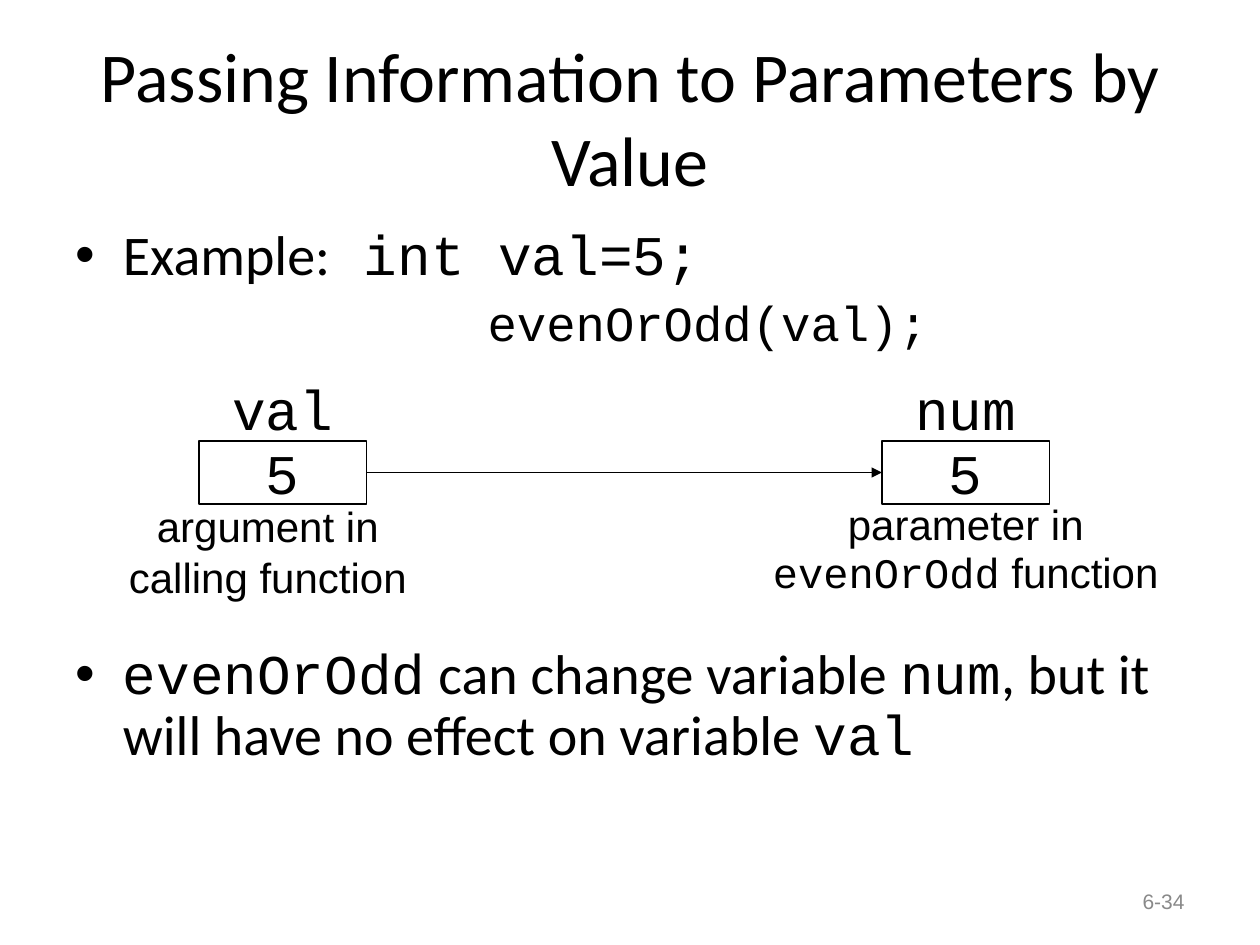
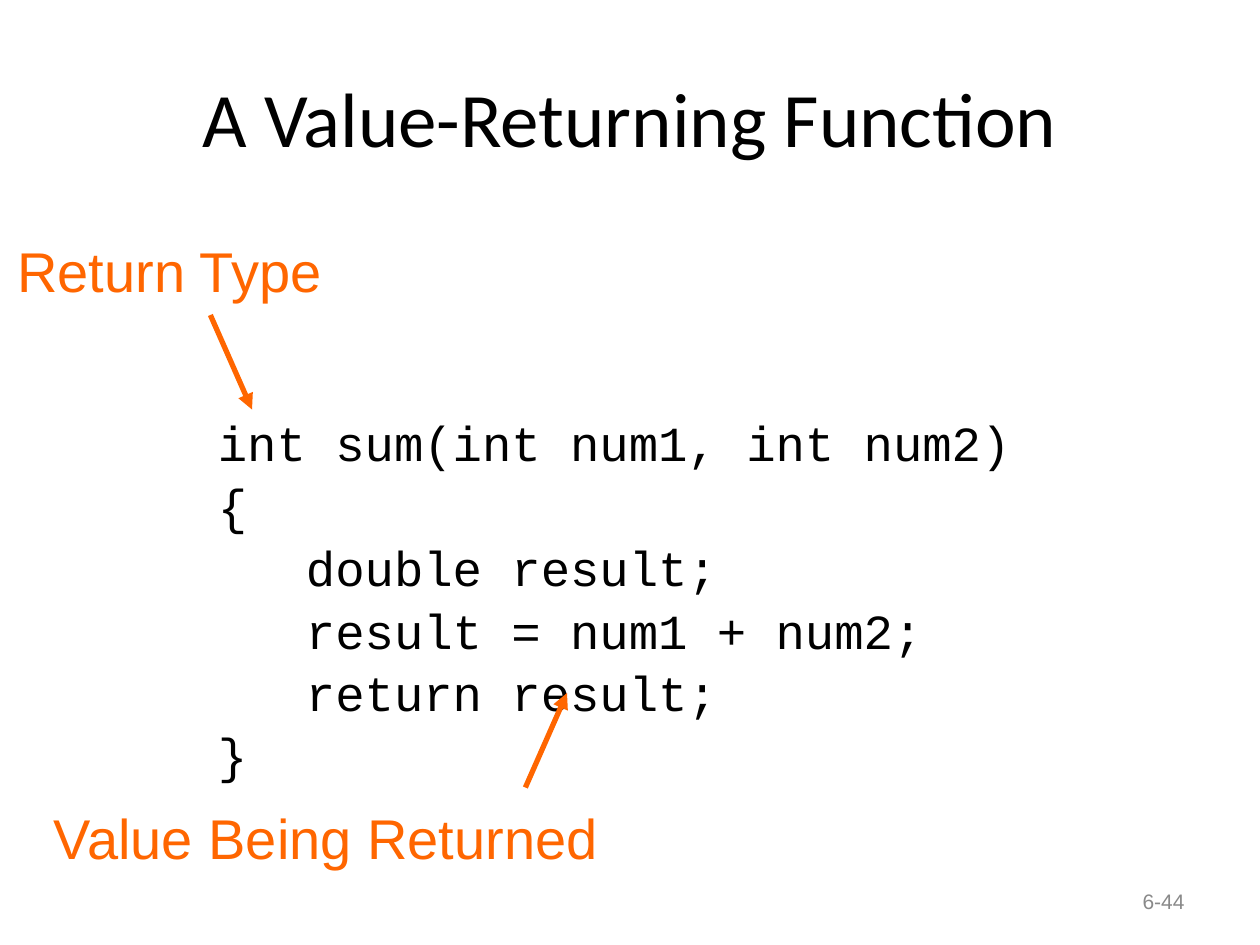
from lxml import etree
from pptx import Presentation
from pptx.dml.color import RGBColor
from pptx.enum.shapes import MSO_CONNECTOR, MSO_SHAPE
from pptx.enum.text import MSO_ANCHOR, MSO_AUTO_SIZE, PP_ALIGN
from pptx.oxml.ns import qn
from pptx.util import Inches, Pt

COLORS = {"text": "000000", "callout": "FF6600", "number": "898989"}
SANS, MONO, HEADING = "Arial", "Courier New", "Calibri"
TITLE_BOX = (0.5, 0.3, 9, 1.25)
BODY_BOX = (0.5, 1.75, 9, 4.95)
NUMBER_BOX = (7.17, 6.95, 2.33, 0.4)

PASSING = {
    "title": "Passing Information to Parameters by Value",
    "title_size": 40,
    "number": "6-34",
    "bullets": [
        {"runs": [("Example:", HEADING), (" int val=5;", MONO)], "size": 32, "before": 0},
        {"runs": [("evenOrOdd(val);", MONO)], "size": 28, "before": 7, "margin": 3.27},
        {"runs": [("evenOrOdd", MONO), (" can change variable ", HEADING), ("num", MONO),
                  (", but it will have no effect on variable ", HEADING), ("val", MONO)],
         "size": 32, "before": 168},
    ],
    "variables": [
        {"name": "val", "value": "5", "left": 1.58,
         "caption": [[("argument in", SANS)], [("calling function", SANS)]],
         "caption_box": (0.75, 4, 2.75, 0.83), "spacing": 0.8},
        {"name": "num", "value": "5", "left": 7,
         "caption": [[("parameter in", SANS)], [("evenOrOdd", MONO), (" function", SANS)]],
         "caption_box": (6, 4, 3.33, 0.79), "spacing": 0.75},
    ],
}
CELL_TOP, CELL_WIDTH, CELL_HEIGHT = 3.5, 1.33, 0.5
NAME_TOP, NAME_HEIGHT = 2.92, 0.64

RETURNING = {
    "title": "A Value-Returning Function",
    "title_size": 44,
    "number": "6-44",
    "code": [
        "int sum(int num1, int num2)",
        "{",
        "   double result;",
        "   result = num1 + num2;",
        "   return result;",
        "}",
    ],
    "callouts": [
        {"label": "Return Type", "box": (0.04, 1.83, 3.4, 0.64),
         "arrow": (1.67, 2.5, 2, 3.25)},
        {"label": "Value Being Returned", "box": (0.33, 6.33, 4.83, 0.64),
         "arrow": (4.17, 6.25, 4.5, 5.5)},
    ],
}
CODE_BOX = (1.25, 3.17, 7.17, 2.9)
CODE_INDENT = 0.38


def inches(values):
    return [Inches(value) for value in values]


def style(paragraph, size, font, color="text", align=PP_ALIGN.LEFT):
    paragraph.alignment = align
    for run in paragraph.runs:
        run.font.size = Pt(size)
        run.font.name = font
        run.font.color.rgb = RGBColor.from_string(COLORS[color])


def fill_runs(paragraph, runs, size, align=PP_ALIGN.LEFT):
    for words, font in runs:
        run = paragraph.add_run()
        run.text = words
    style(paragraph, size, SANS, align=align)
    for run, (words, font) in zip(paragraph.runs, runs):
        run.font.name = font


def next_paragraph(frame, index):
    return frame.add_paragraph() if index else frame.paragraphs[0]


def place(placeholder, box):
    placeholder.left, placeholder.top, placeholder.width, placeholder.height = inches(box)
    placeholder.text_frame.auto_size = MSO_AUTO_SIZE.NONE
    return placeholder.text_frame


def text_box(slide, box):
    frame = slide.shapes.add_textbox(*inches(box)).text_frame
    frame.word_wrap = True
    return frame


def label(slide, box, words, size, font, color="text", align=PP_ALIGN.LEFT):
    frame = text_box(slide, box)
    frame.text = words
    style(frame.paragraphs[0], size, font, color, align)
    return frame


def arrow(slide, ends, color, width):
    connector = slide.shapes.add_connector(MSO_CONNECTOR.STRAIGHT, *inches(ends))
    connector.line.color.rgb = RGBColor.from_string(COLORS[color])
    connector.line.width = Pt(width)
    etree.SubElement(connector.line._get_or_add_ln(), qn("a:tailEnd"), type="triangle")
    etree.SubElement(connector._element.spPr, qn("a:effectLst"))


def start_slide(deck, layout, content):
    slide = deck.slides.add_slide(deck.slide_layouts[layout])
    heading = place(slide.shapes.title, TITLE_BOX)
    heading.text = content["title"]
    heading.vertical_anchor = MSO_ANCHOR.MIDDLE
    style(heading.paragraphs[0], content["title_size"], HEADING, align=PP_ALIGN.CENTER)
    number = label(slide, NUMBER_BOX, content["number"], 12, SANS, "number", PP_ALIGN.RIGHT)
    number.vertical_anchor = MSO_ANCHOR.MIDDLE
    return slide


def draw_variable(slide, variable):
    left = variable["left"]
    label(slide, (left, NAME_TOP, CELL_WIDTH, NAME_HEIGHT), variable["name"],
          32, MONO, align=PP_ALIGN.CENTER)
    cell = slide.shapes.add_shape(
        MSO_SHAPE.RECTANGLE, *inches((left, CELL_TOP, CELL_WIDTH, CELL_HEIGHT)))
    cell.shadow.inherit = False
    cell.fill.background()
    cell.line.color.rgb = RGBColor.from_string(COLORS["text"])
    cell.line.width = Pt(0.75)
    cell.text_frame.text = variable["value"]
    cell.text_frame.word_wrap = False
    cell.text_frame.vertical_anchor = MSO_ANCHOR.MIDDLE
    style(cell.text_frame.paragraphs[0], 32, MONO, align=PP_ALIGN.CENTER)
    caption = text_box(slide, variable["caption_box"])
    for index, runs in enumerate(variable["caption"]):
        line = next_paragraph(caption, index)
        line.line_spacing = variable["spacing"]
        line.space_before = Pt(6 if index else 0)
        fill_runs(line, runs, 24, PP_ALIGN.CENTER)


def build_passing(deck):
    slide = start_slide(deck, 1, PASSING)
    body = place(slide.placeholders[1], BODY_BOX)
    for index, bullet in enumerate(PASSING["bullets"]):
        paragraph = next_paragraph(body, index)
        paragraph.line_spacing = 0.9
        paragraph.space_before = Pt(bullet["before"])
        if "margin" in bullet:
            properties = paragraph._p.get_or_add_pPr()
            properties.set("marL", str(Inches(bullet["margin"])))
            properties.set("indent", "0")
            etree.SubElement(properties, qn("a:buNone"))
        fill_runs(paragraph, bullet["runs"], bullet["size"])
    for variable in PASSING["variables"]:
        draw_variable(slide, variable)
    source, target = [variable["left"] for variable in PASSING["variables"]]
    middle = CELL_TOP + CELL_HEIGHT / 2
    arrow(slide, (source + CELL_WIDTH, middle, target, middle), "text", 0.75)


def build_returning(deck):
    slide = start_slide(deck, 5, RETURNING)
    code = text_box(slide, CODE_BOX)
    code.text = "\n".join(RETURNING["code"])
    code.margin_left = Inches(0.1 + CODE_INDENT)
    code.margin_top = Inches(0.08)
    for line in code.paragraphs:
        line.line_spacing = 1.06
        style(line, 28, MONO)
    for callout in RETURNING["callouts"]:
        label(slide, callout["box"], callout["label"], 32, SANS, "callout")
        arrow(slide, callout["arrow"], "callout", 3)


def main():
    deck = Presentation()
    deck.slide_width, deck.slide_height = Inches(10), Inches(7.5)
    build_passing(deck)
    build_returning(deck)
    deck.save("out.pptx")


if __name__ == "__main__":
    main()
